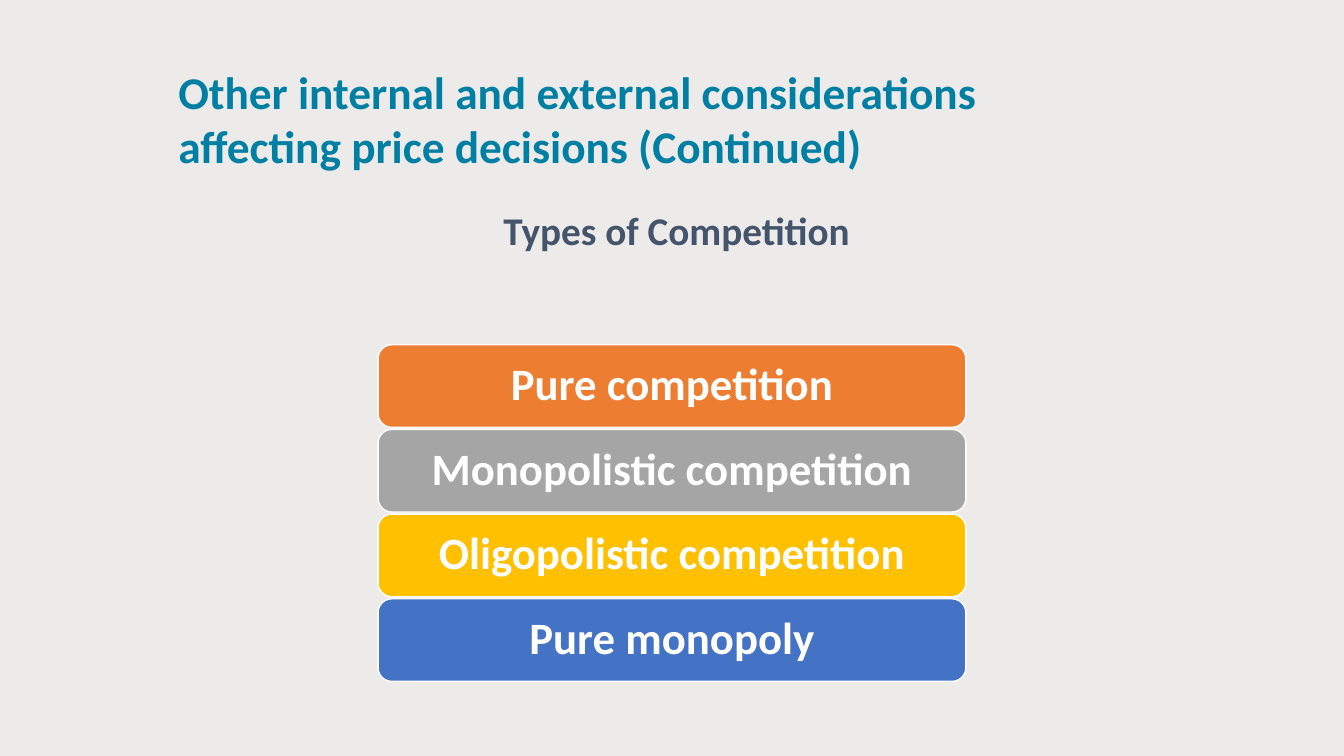
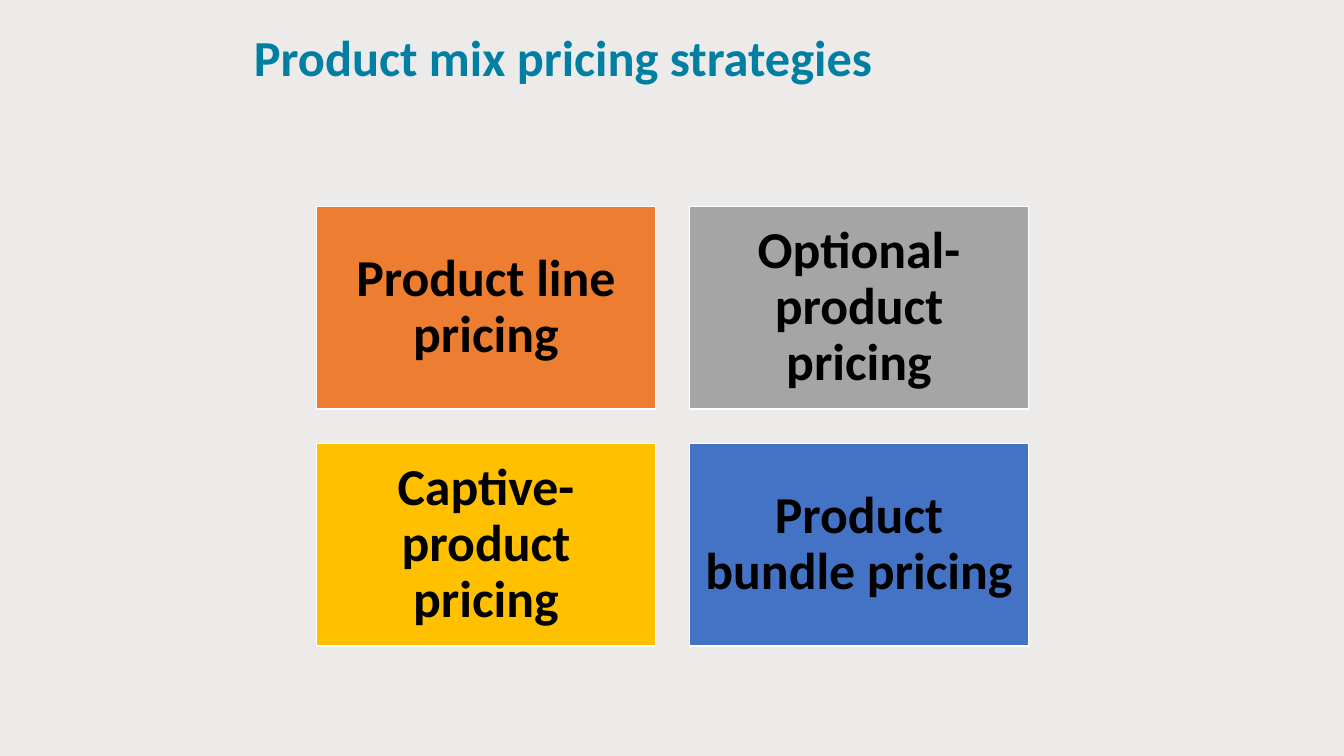
import pptx
import pptx.util
import pptx.dml.color
import pptx.enum.shapes
import pptx.enum.text

Inches = pptx.util.Inches
Pt = pptx.util.Pt
SHAPE = pptx.enum.shapes.MSO_SHAPE
ALIGN = pptx.enum.text.PP_ALIGN
ANCHOR = pptx.enum.text.MSO_ANCHOR

COLORS = {
    "back": "ECEBEA", "title": "007FA3", "head": "44546A",
    "white": "FFFFFF", "black": "000000",
    "orange": "ED7D31", "gray": "A5A5A5", "gold": "FFC000", "blue": "4472C4",
}
FILLS = ["orange", "gray", "gold", "blue"]
FONT = "Calibri"


def color(name):
    return pptx.dml.color.RGBColor.from_string(COLORS[name])


def write(shape, text, size=32, ink="black", align=ALIGN.CENTER,
          anchor=ANCHOR.MIDDLE, space=None, inset=None):
    """Put bold text in a shape; inset is one margin for all four sides."""
    frame = shape.text_frame
    frame.word_wrap = True
    frame.vertical_anchor = anchor
    if inset is not None:
        frame.margin_left = frame.margin_right = Inches(inset)
        frame.margin_top = frame.margin_bottom = Inches(inset)
    para = frame.paragraphs[0]
    para.alignment = align
    para.line_spacing = space
    run = para.add_run()
    run.text = text
    run.font.name = FONT
    run.font.size = Pt(size)
    run.font.bold = True
    run.font.color.rgb = color(ink)


def label(slide, box, text, **style):
    write(slide.shapes.add_textbox(*map(Inches, box)), text, **style)


def title(slide, box, text, **style):
    label(slide, box, text, ink="title", align=ALIGN.LEFT, **style)


def block(slide, kind, box, fill, text, **style):
    shape = slide.shapes.add_shape(kind, *map(Inches, box))
    shape.shadow.inherit = False
    shape.fill.solid()
    shape.fill.fore_color.rgb = color(fill)
    shape.line.color.rgb = color("white")
    shape.line.width = Pt(1)
    write(shape, text, space=0.9, **style)


def grid(slide, kind, names, first, gap, cols, **style):
    """Lay blocks out row by row from the first box, with equal gaps."""
    left, top, width, height = first
    for i, (name, fill) in enumerate(zip(names, FILLS)):
        row, col = divmod(i, cols)
        box = (left + col * (width + gap), top + row * (height + gap),
               width, height)
        block(slide, kind, box, fill, name, **style)


def rivals(slide):
    title(slide, (1.67, 0.26, 9.67, 1.83),
          "Other internal and external considerations "
          "affecting price decisions (Continued)", size=32.4)
    label(slide, (2.67, 2.09, 8.08, 0.5), "Types of Competition",
          size=28, ink="head", anchor=ANCHOR.TOP, space=0.8)
    names = ["Pure competition", "Monopolistic competition",
             "Oligopolistic competition", "Pure monopoly"]
    grid(slide, SHAPE.ROUNDED_RECTANGLE, names, (3.75, 3.42, 5.83, 0.82),
         0.02, 1, size=32, ink="white", inset=0.13)


def mix(slide):
    title(slide, (2.42, -0.02, 8.5, 1.25), "Product mix pricing strategies",
          size=36, space=Pt(36))
    names = ["Product line pricing", "Optional- product pricing",
             "Captive- product pricing", "Product bundle pricing"]
    grid(slide, SHAPE.RECTANGLE, names, (3.14, 2.05, 3.36, 2.01),
         0.34, 2, size=37, inset=0.14)


def main():
    deck = pptx.Presentation()
    deck.slide_width = Inches(13.33)
    deck.slide_height = Inches(7.5)
    back = deck.slide_master.background.fill
    back.solid()
    back.fore_color.rgb = color("back")
    for build in (rivals, mix):
        build(deck.slides.add_slide(deck.slide_layouts[6]))
    deck.save("out.pptx")


if __name__ == "__main__":
    main()
